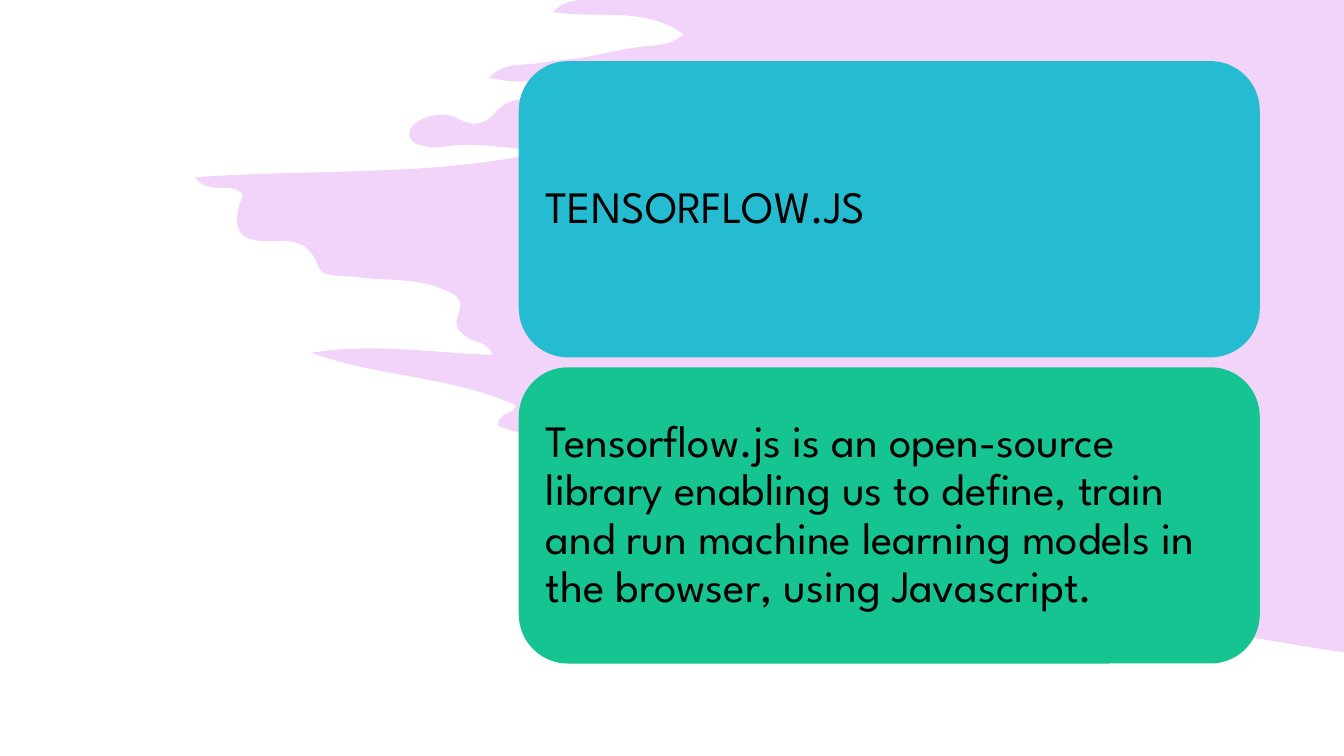
from lxml import etree
from pptx import Presentation
from pptx import util as u
from pptx.dml.color import RGBColor
from pptx.enum import shapes, text
from pptx.oxml.ns import qn

FONT = "League Spartan"
SLIDE_WIDTH, SLIDE_HEIGHT = u.Cm(33.86), u.Cm(19.05)

# Outline of the paint splash on a grid 13.33 wide.
GRID_WIDTH = 13.33
SPLASH_START = (5.75, 0)
# Each row: two control points and an end point (x, y pairs).
SPLASH_CURVES = [
    (5.67, 0.01, 5.57, 0.03, 5.48, 0.12),
    (5.95, 0.19, 6.39, 0.06, 6.78, 0.34),
    (6.64, 0.47, 6.48, 0.44, 6.32, 0.47),
    (6.16, 0.49, 6, 0.53, 5.84, 0.56),
    (5.67, 0.59, 5.49, 0.6, 5.32, 0.63),
    (5.18, 0.65, 5.02, 0.61, 4.85, 0.77),
    (5.27, 0.88, 5.66, 0.71, 6.08, 0.82),
    (5.84, 0.92, 5.63, 0.89, 5.44, 0.95),
    (5.27, 1, 5.06, 0.94, 4.92, 1.11),
    (4.81, 1.24, 4.69, 1.26, 4.55, 1.18),
    (4.42, 1.11, 4.28, 1.13, 4.15, 1.2),
    (4.11, 1.23, 4.06, 1.26, 4.06, 1.32),
    (4.06, 1.41, 4.12, 1.43, 4.18, 1.44),
    (4.24, 1.46, 4.31, 1.47, 4.37, 1.46),
    (4.74, 1.39, 5.1, 1.5, 5.47, 1.49),
    (4.31, 1.76, 3.14, 1.67, 1.93, 1.76),
    (2.09, 1.95, 2.29, 1.79, 2.41, 1.93),
    (2.3, 2.22, 2.34, 2.37, 2.58, 2.39),
    (2.8, 2.41, 3.04, 2.31, 3.16, 2.65),
    (3.2, 2.76, 3.41, 2.73, 3.55, 2.75),
    (3.84, 2.79, 4.14, 2.75, 4.42, 2.88),
    (4.53, 2.93, 4.6, 2.97, 4.55, 3.11),
    (4.49, 3.25, 4.56, 3.3, 4.66, 3.36),
    (4.73, 3.4, 4.83, 3.39, 4.89, 3.52),
    (4.28, 3.5, 3.69, 3.4, 3.09, 3.5),
    (3.75, 3.74, 4.47, 3.73, 5.12, 4.02),
    (5.1, 4.12, 4.95, 4.07, 4.94, 4.22),
    (5.28, 4.38, 5.69, 4.27, 6.05, 4.5),
    (5.84, 4.61, 5.65, 4.44, 5.45, 4.54),
    (5.52, 4.69, 8.4, 5.61, 8.92, 5.71),
    (9.78, 5.87, 11.95, 6.25, 13.18, 6.45),
]
SPLASH_CORNERS = [(13.33, 6.47), (13.33, 0)]

CARDS = [
    ("TENSORFLOW.JS", "25BCD2"),
    ("Tensorflow.js is an open-source library enabling us to define, train "
     "and run machine learning models in the browser, using Javascript.", "15C491"),
]


def color(hex_value):
    return RGBColor.from_string(hex_value)


def fill_shape(shape, hex_value, alpha=None):
    """Give a flat fill without line or shadow; alpha is a percentage."""
    shape.shadow.inherit = False
    shape.line.fill.background()
    shape.fill.solid()
    shape.fill.fore_color.rgb = color(hex_value)
    if alpha is not None:
        fill_color = shape._element.spPr.find(qn("a:solidFill"))[0]
        etree.SubElement(fill_color, qn("a:alpha")).set("val", str(alpha * 1000))


def write_text(shape, content, size=32, hex_value="000000", inset=u.Cm(0.32)):
    frame = shape.text_frame
    frame.word_wrap = True
    frame.vertical_anchor = text.MSO_ANCHOR.MIDDLE
    frame.margin_left = frame.margin_right = inset
    frame.margin_top = frame.margin_bottom = inset
    paragraph = frame.paragraphs[0]
    paragraph.alignment = text.PP_ALIGN.LEFT
    paragraph.line_spacing = 0.9
    run = paragraph.add_run()
    run.text = content
    run.font.name = FONT
    run.font.size = u.Pt(size)
    run.font.color.rgb = color(hex_value)


def bend_lines(shape, curve_count):
    """Turn each of the first triples of line segments into one cubic curve."""
    lines = list(shape._element.iter(qn("a:lnTo")))[:3 * curve_count]
    for first in range(0, len(lines), 3):
        curve = etree.Element(qn("a:cubicBezTo"))
        lines[first].addprevious(curve)
        for line in lines[first:first + 3]:
            curve.append(line[0])
            line.getparent().remove(line)


def add_backdrop(slide, left, top, width, height):
    backdrop = slide.shapes.add_shape(shapes.MSO_SHAPE.RECTANGLE, left, top, width, height)
    fill_shape(backdrop, "FFFFFF")


def add_splash(slide, left, top, width):
    outline = [SPLASH_START]
    for curve in SPLASH_CURVES:
        outline += [curve[0:2], curve[2:4], curve[4:6]]
    outline += SPLASH_CORNERS
    unit = width / GRID_WIDTH
    points = [(round(left + x * unit), round(top + y * unit)) for x, y in outline]
    builder = slide.shapes.build_freeform(*points[0], scale=1.0)
    builder.add_line_segments(points[1:], close=True)
    splash = builder.convert_to_shape()
    bend_lines(splash, len(SPLASH_CURVES))
    fill_shape(splash, "BF29E7", alpha=20)


def add_cards(slide, left, top, width, height, gap=u.Cm(0.25)):
    card_height = (height - gap * (len(CARDS) - 1)) // len(CARDS)
    for index, (content, hex_value) in enumerate(CARDS):
        card = slide.shapes.add_shape(
            shapes.MSO_SHAPE.ROUNDED_RECTANGLE,
            left, top + index * (card_height + gap), width, card_height)
        fill_shape(card, hex_value)
        write_text(card, content)


def main():
    presentation = Presentation()
    presentation.slide_width = SLIDE_WIDTH
    presentation.slide_height = SLIDE_HEIGHT
    slide = presentation.slides.add_slide(presentation.slide_layouts[6])
    add_backdrop(slide, 0, 0, SLIDE_WIDTH, SLIDE_HEIGHT)
    add_splash(slide, 0, 0, SLIDE_WIDTH)
    add_cards(slide, u.Cm(13.07), u.Cm(1.54), u.Cm(18.67), u.Cm(15.18))
    presentation.save("out.pptx")


if __name__ == "__main__":
    main()
